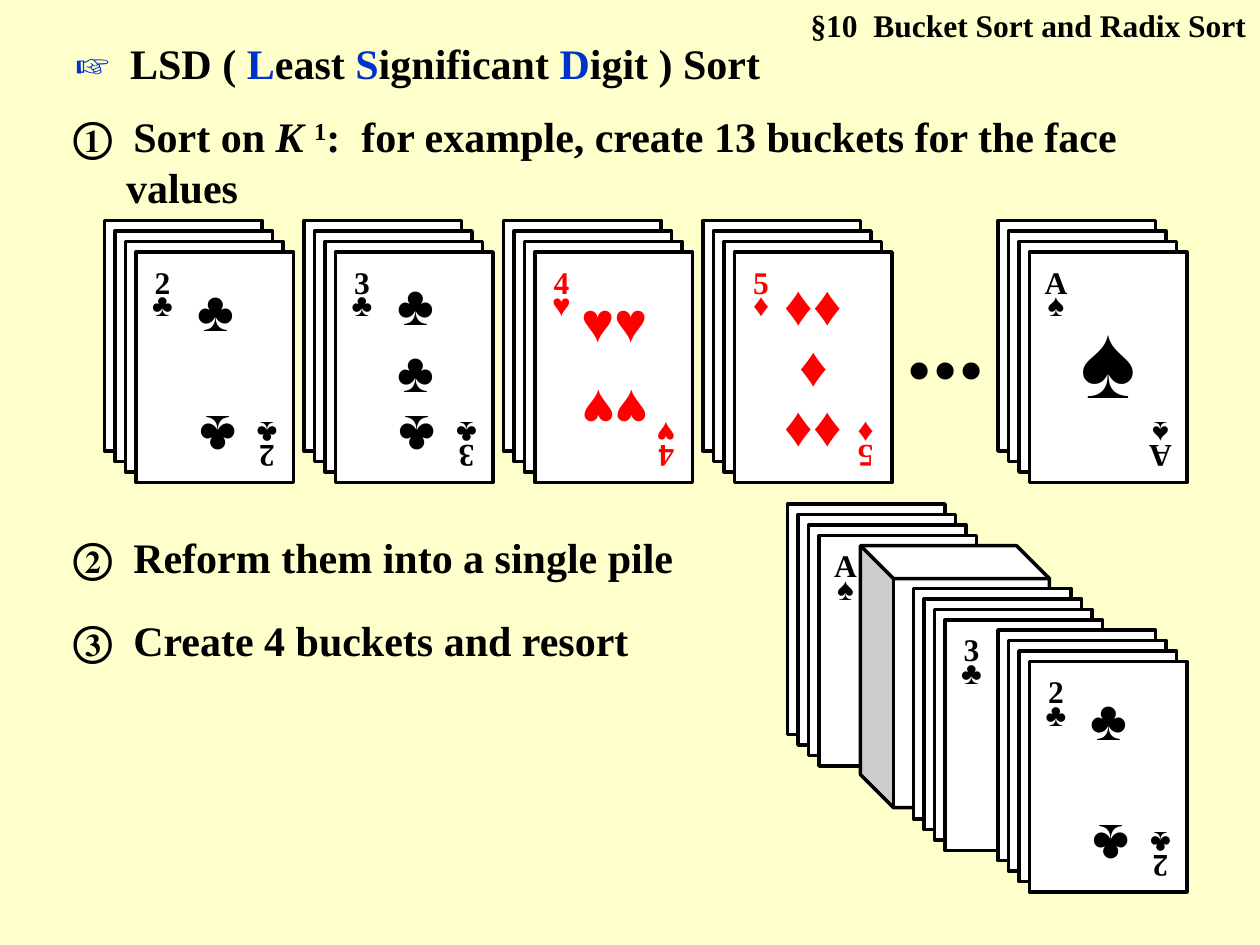
import pptx
import pptx.util
import pptx.dml.color
import pptx.enum.shapes
import pptx.enum.text
import pptx.oxml

Inches = pptx.util.Inches
Pt = pptx.util.Pt
ALIGN = pptx.enum.text.PP_ALIGN
ANCHOR = pptx.enum.text.MSO_ANCHOR
SHAPE = pptx.enum.shapes.MSO_SHAPE

COLORS = {"page": "FFFFCC", "ink": "000000", "accent": "0033CC",
          "red": "FF0000", "card": "FFFFFF"}
FONT = "Times New Roman"
CARD_WIDTH, CARD_HEIGHT = 1.25, 1.83
STEP = 1 / 12          # offset between the cards of a stack
CARDS_PER_STACK = 4

# Pips of each face: left and top from the stack's corner, width, height,
# lines, point size, upside down, line spacing
BOTTOM_CLUB = (0.59, 1.44, 0.62, 0.58, ["♣"], 32, True, 1)
FACES = {
    "2": ("♣", "ink", [(0.55, 0.41, 0.67, 0.58, ["♣"], 32, False, 1),
                       BOTTOM_CLUB]),
    "3": ("♣", "ink", [(0.55, 0.42, 0.67, 1, ["♣", "♣"], 32, False, 1),
                       BOTTOM_CLUB]),
    "4": ("♥", "red", [(0.55, 0.5, 0.67, 0.58, ["♥♥"], 32, False, 1),
                       (0.55, 1.24, 0.67, 0.58, ["♥♥"], 32, True, 1)]),
    "5": ("♦", "red", [(0.54, 0.42, 0.67, 1.5, ["♦♦", "♦", "♦♦"],
                        32, False, 0.9)]),
    "A": ("♠", "ink", [(0.54, 0.58, 0.67, 1, ["♠"], 60, False, 1)]),
}


def color(name):
    return pptx.dml.color.RGBColor.from_string(COLORS[name])


def place(box, left, top, width, height):
    box.left, box.top = Inches(left), Inches(top)
    box.width, box.height = Inches(width), Inches(height)


def style(para, size, ink="ink", align=ALIGN.LEFT, spacing=1):
    para.alignment = align
    para.line_spacing = spacing
    para.space_before = Pt(0)
    para.font.name, para.font.size, para.font.bold = FONT, Pt(size), True
    para.font.color.rgb = color(ink)


def add_label(shapes, at, lines, size, ink="ink", flipped=False, spacing=1):
    """Centred, unwrapped lines of text."""
    box = shapes.add_textbox(*[Inches(length) for length in at])
    frame = box.text_frame
    frame.word_wrap = False
    frame.margin_left = frame.margin_right = 0
    frame.vertical_anchor = ANCHOR.MIDDLE
    frame.text = "\n".join(lines)
    for para in frame.paragraphs:
        style(para, size, ink, ALIGN.CENTER, spacing)
    if flipped:
        box.rotation = 180


def add_solid(shapes, kind, left, top, width, height):
    shape = shapes.add_shape(kind, Inches(left), Inches(top),
                             Inches(width), Inches(height))
    shape.shadow.inherit = False
    shape.fill.solid()
    shape.fill.fore_color.rgb = color("card")
    shape.line.color.rgb = color("ink")
    shape.line.width = Pt(2)
    return shape


def add_stack(shapes, left, top, face, covered=False):
    """A stack of cards; a covered one hides its lower corner."""
    suit, ink, pips = FACES[face]
    for card in range(CARDS_PER_STACK):
        add_solid(shapes, SHAPE.RECTANGLE, left + card * STEP,
                  top + card * STEP, CARD_WIDTH, CARD_HEIGHT)
    corners = [(0.25, 0.37, False), (1.08, 1.5, True)]
    for dx, dy, flipped in corners[:1] if covered else corners:
        add_label(shapes, (left + dx, top + dy, 0.42, 0.5), [face, suit],
                  18, ink, flipped, 0.6)
    for dx, dy, width, height, lines, size, flipped, spacing in pips:
        add_label(shapes, (left + dx, top + dy, width, height), lines,
                  size, ink, flipped, spacing)


def add_header(page, text):
    box = page.shapes.add_textbox(Inches(5.83), 0, Inches(4.16), Inches(0.4))
    box.text_frame.word_wrap = True
    box.text_frame.text = text
    style(box.text_frame.paragraphs[0], 18, align=ALIGN.RIGHT)


def fill_placeholder(box, at, spans, inset=0.0, hanging=0.0):
    """Spans are (text, kind) pairs; kind is '', 'accent', 'italic' or 'super'."""
    place(box, *at)
    frame = box.text_frame
    frame.word_wrap = True
    frame.auto_size = pptx.enum.text.MSO_AUTO_SIZE.NONE
    frame.vertical_anchor = ANCHOR.TOP
    frame.margin_left = frame.margin_right = Inches(inset)
    frame.margin_top = frame.margin_bottom = Inches(0.05)
    para = frame.paragraphs[0]
    props = para._p.get_or_add_pPr()
    props.set("marL", str(Inches(hanging)))
    props.set("indent", str(-Inches(hanging)))
    props.append(pptx.oxml.parse_xml(
        '<a:buNone xmlns:a="http://schemas.openxmlformats.org/drawingml/2006/main"/>'))
    style(para, 24)
    for text, kind in spans:
        span = para.add_run()
        span.text = text
        if kind == "accent":
            span.font.color.rgb = color("accent")
        elif kind == "italic":
            span.font.italic = True
        elif kind == "super":
            span._r.get_or_add_rPr().set("baseline", "30000")


def add_buckets(page):
    shapes = page.shapes.add_group_shape().shapes
    for index, face in enumerate("2345"):
        add_stack(shapes, 0.83 + index * 19 * STEP, 1.75, face)
    add_stack(shapes, 7.92, 1.75, "A")
    add_label(shapes, (7.17, 2.17, 0.67, 1), ["..."], 60)


def add_pile(page):
    shapes = page.shapes.add_group_shape().shapes
    add_stack(shapes, 6.25, 4, "A", covered=True)
    cube = add_solid(shapes, SHAPE.CUBE, 6.83, 4.33, 1.5, 2.08)
    cube.adjustments[0] = 0.175
    cube._element.spPr.get_or_add_xfrm().set("flipH", "1")
    add_stack(shapes, 7.25, 4.67, "3", covered=True)
    add_stack(shapes, 7.92, 5, "2")


def main():
    deck = pptx.Presentation()
    deck.slide_width, deck.slide_height = Inches(10), Inches(7.5)
    page = deck.slides.add_slide(deck.slide_layouts[4])
    page.background.fill.solid()
    page.background.fill.fore_color.rgb = color("page")

    # Title and steps
    title, first, second, third, spare = page.placeholders
    spare._element.getparent().remove(spare._element)
    add_header(page, "§10  Bucket Sort and Radix Sort")
    fill_placeholder(title, (0.5, 0.25, 9, 0.5), [
        ("☞", "accent"), ("  LSD ( ", ""), ("L", "accent"), ("east ", ""),
        ("S", "accent"), ("ignificant ", ""), ("D", "accent"),
        ("igit ) Sort", "")], inset=0.1)
    fill_placeholder(first, (0.58, 0.83, 8.92, 0.9), [
        ("①  Sort on ", ""), ("K ", "italic"), ("1", "super"),
        (":  for example, create 13 buckets for the face values", "")],
        hanging=0.42)
    fill_placeholder(second, (0.58, 4.17, 5.42, 0.5),
                     [("②  Reform them into a single pile", "")])
    fill_placeholder(third, (0.58, 4.83, 5, 0.5),
                     [("③  Create 4 buckets and resort", "")], hanging=0.42)

    # Cards
    add_buckets(page)
    add_pile(page)
    deck.save("out.pptx")


if __name__ == "__main__":
    main()
